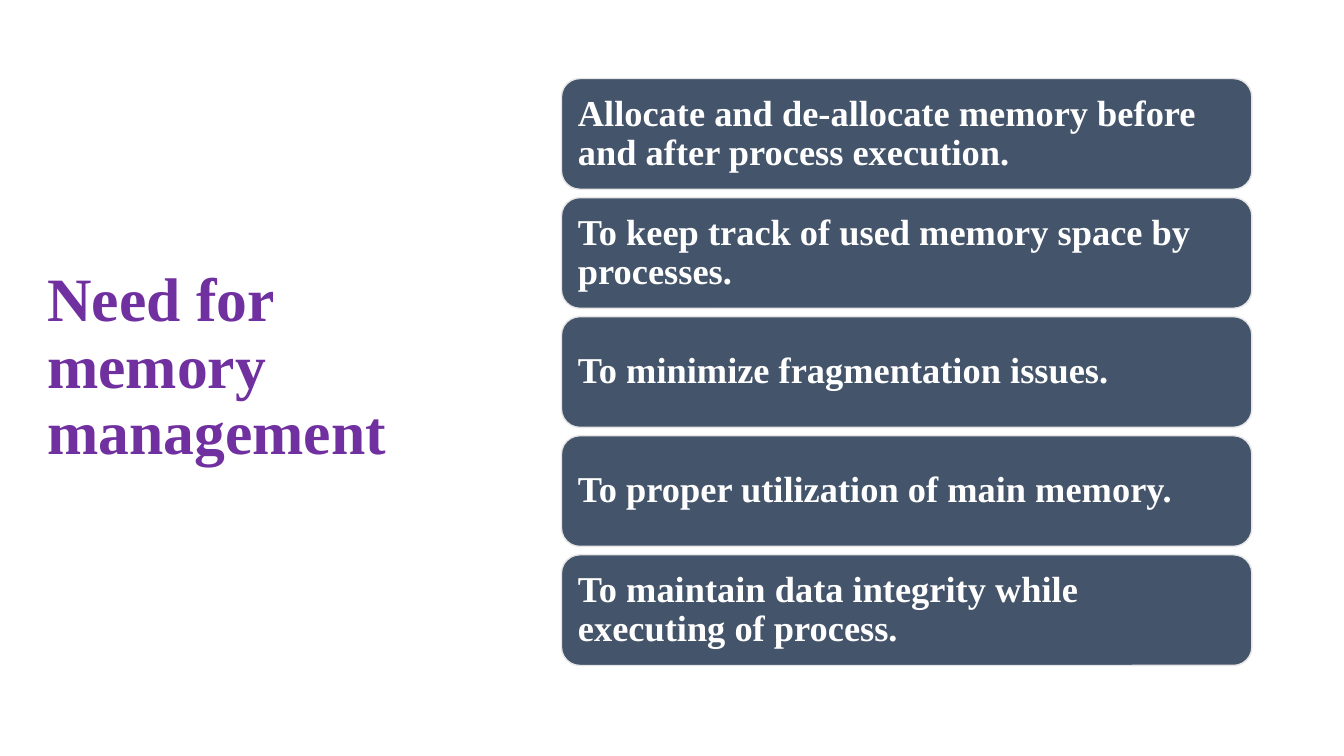
from pptx import Presentation
from pptx.dml.color import RGBColor
from pptx.enum.shapes import MSO_SHAPE
from pptx.enum.text import MSO_ANCHOR, MSO_AUTO_SIZE, PP_ALIGN
from pptx.util import Cm, Pt

ROUNDED = MSO_SHAPE.ROUNDED_RECTANGLE
MIDDLE = MSO_ANCHOR.MIDDLE
LEFT = PP_ALIGN.LEFT
NO_FIT = MSO_AUTO_SIZE.NONE
TITLE_ONLY = 5

NEEDS = [
    "Allocate and de-allocate memory before and after process execution.",
    "To keep track of used memory space by processes.",
    "To minimize fragmentation issues.",
    "To proper utilization of main memory.",
    "To maintain data integrity while executing of process.",
]
CARD_TOP = 1.98
CARD_PITCH = 3


def color(value):
    """Turn a hex string into a colour."""
    return RGBColor.from_string(value)


class SlideBuilder:
    """Hold the style and the current slide."""

    font = "Times New Roman"
    title_color = "7030A0"
    card_fill = "44546A"
    card_line = "E7E6E6"
    card_text = "FFFFFF"

    def __init__(self, deck):
        """Add a title-only slide to the deck."""
        self.page = deck.slides.add_slide(deck.slide_layouts[TITLE_ONLY])

    def add_text(self, box, text, size, text_color, inset):
        """Set one bold, left-aligned paragraph in a shape."""
        frame = box.text_frame
        frame.word_wrap = True
        frame.auto_size = NO_FIT
        frame.vertical_anchor = MIDDLE
        frame.margin_left = frame.margin_right = Cm(inset)
        frame.margin_top = frame.margin_bottom = Cm(inset)
        para = frame.paragraphs[0]
        para.alignment = LEFT
        para.line_spacing = 0.9
        span = para.add_run()
        span.text = text
        span.font.name = self.font
        span.font.size = Pt(size)
        span.font.bold = True
        span.font.color.rgb = color(text_color)

    def title(self, text, left, top, width, height):
        """Place and fill the title placeholder."""
        box = self.page.shapes.title
        box.left, box.top = Cm(left), Cm(top)
        box.width, box.height = Cm(width), Cm(height)
        self.add_text(box, text, 44, self.title_color, 0.25)

    def card(self, text, left, top, width, height):
        """Add a rounded card with its text."""
        box = self.page.shapes.add_shape(
            ROUNDED, Cm(left), Cm(top), Cm(width), Cm(height))
        box.shadow.inherit = False
        box.fill.solid()
        box.fill.fore_color.rgb = color(self.card_fill)
        box.line.color.rgb = color(self.card_line)
        box.line.width = Pt(1)
        self.add_text(box, text, 26, self.card_text, 0.28)


def main():
    """Build and save the deck."""
    deck = Presentation()
    deck.slide_width, deck.slide_height = Cm(33.87), Cm(19.05)
    builder = SlideBuilder(deck)
    builder.title("Need for memory management", 0.94, 1.55, 10.77, 15.47)
    for index, need in enumerate(NEEDS):
        builder.card(need, 14.15, CARD_TOP + index * CARD_PITCH, 17.4, 2.79)
    deck.save("out.pptx")


if __name__ == "__main__":
    main()
